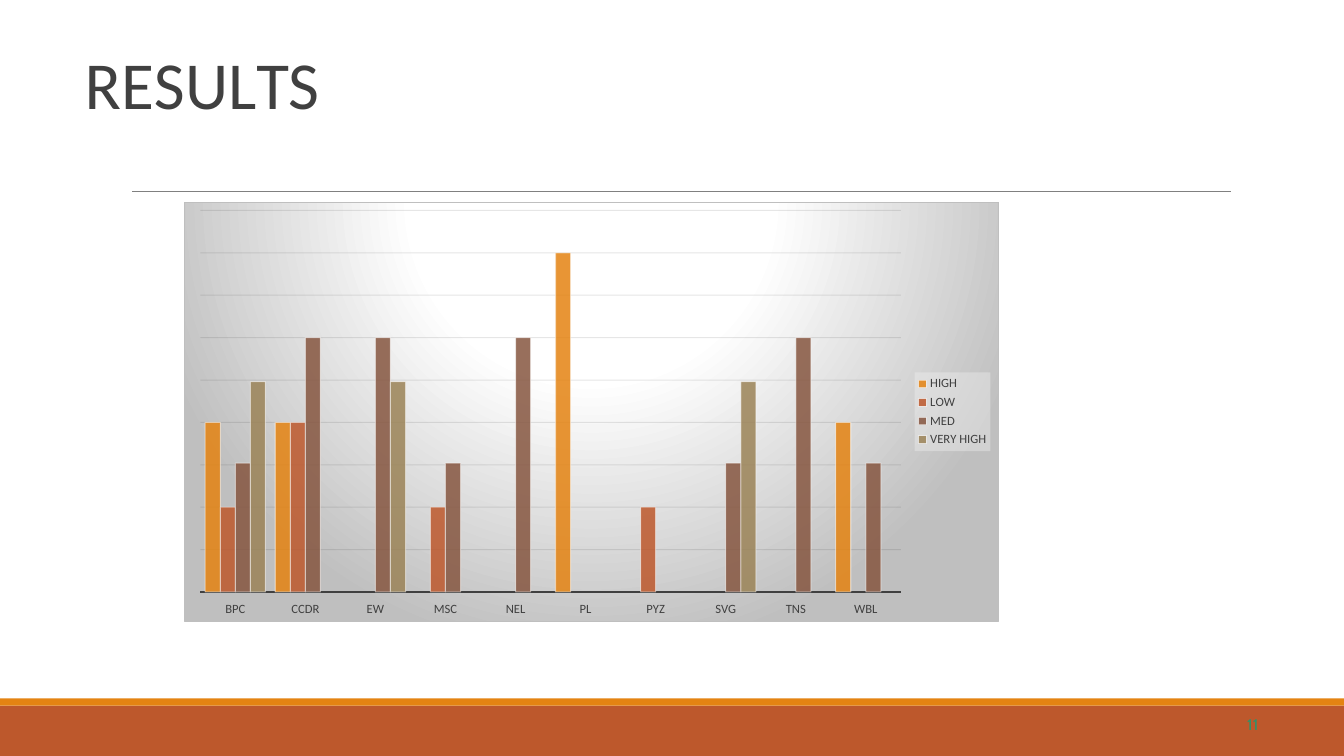
from lxml import etree
from pptx import Presentation
from pptx.chart.data import CategoryChartData
from pptx.dml.color import RGBColor
from pptx.enum.chart import XL_CHART_TYPE, XL_LEGEND_POSITION, XL_TICK_LABEL_POSITION, XL_TICK_MARK
from pptx.enum.shapes import MSO_CONNECTOR, MSO_SHAPE
from pptx.enum.text import MSO_ANCHOR, MSO_AUTO_SIZE, PP_ALIGN
from pptx.oxml import parse_xml
from pptx.oxml.ns import qn
from pptx.util import Inches, Pt

COLUMNS = XL_CHART_TYPE.COLUMN_CLUSTERED
LEGEND_RIGHT = XL_LEGEND_POSITION.RIGHT
LABELS_LOW = XL_TICK_LABEL_POSITION.LOW
NO_TICKS = XL_TICK_MARK.NONE
STRAIGHT = MSO_CONNECTOR.STRAIGHT
RECTANGLE = MSO_SHAPE.RECTANGLE
TOP, BOTTOM = MSO_ANCHOR.TOP, MSO_ANCHOR.BOTTOM
GROW = MSO_AUTO_SIZE.SHAPE_TO_FIT_TEXT
LEFT = PP_ALIGN.LEFT

DARK_GRAY = "404040"
NAMESPACES = ('xmlns:c="http://schemas.openxmlformats.org/drawingml/2006/chart" '
              'xmlns:a="http://schemas.openxmlformats.org/drawingml/2006/main"')

# Each title run with its letter spacing in points
TITLE_RUNS = [("R", -0.5), ("E", -0.4), ("S", 0.1), ("U", -0.3), ("L", -4), ("TS", -0.5)]

CATEGORIES = ["BPC", "CCDR", "EW", "MSC", "NEL", "PL", "PYZ", "SVG", "TNS", "WBL"]
SERIES = [
    ("HIGH", "E48312", [50, 50, None, None, None, 100, None, None, None, 50]),
    ("LOW", "BD582C", [25, 50, None, 25, None, None, 25, None, None, None]),
    ("MED", "865640", [38, 75, 75, 38, 75, None, None, 38, 75, 38]),
    ("VERY HIGH", "9B8357", [62, None, 62, None, None, None, None, 62, None, None]),
]
GRID_STEP = 12.5

CHART_FRAME = f"""<c:spPr {NAMESPACES}>
  <a:gradFill>
    <a:gsLst>
      <a:gs pos="0"><a:srgbClr val="FFFFFF"/></a:gs>
      <a:gs pos="39000"><a:srgbClr val="FFFFFF"/></a:gs>
      <a:gs pos="100000"><a:srgbClr val="BFBFBF"/></a:gs>
    </a:gsLst>
    <a:path path="circle"><a:fillToRect l="50000" t="-80000" r="50000" b="180000"/></a:path>
  </a:gradFill>
  <a:ln w="9525"><a:solidFill><a:srgbClr val="BFBFBF"/></a:solidFill></a:ln>
</c:spPr>"""

LEGEND_FRAME = f"""<c:spPr {NAMESPACES}>
  <a:solidFill><a:srgbClr val="F2F2F2"><a:alpha val="39000"/></a:srgbClr></a:solidFill>
</c:spPr>"""

PLOT_LAYOUT = f"""<c:layout {NAMESPACES}><c:manualLayout>
  <c:layoutTarget val="inner"/><c:xMode val="edge"/><c:yMode val="edge"/>
  <c:x val="0.02"/><c:y val="0.02"/><c:w val="0.86"/><c:h val="0.91"/>
</c:manualLayout></c:layout>"""


def color(hex_string):
    return RGBColor.from_string(hex_string)


def set_opacity(format_element, percent):
    for color_element in format_element.iter(qn("a:srgbClr")):
        alpha = etree.SubElement(color_element, qn("a:alpha"))
        alpha.set("val", str(percent * 1000))


def style_line(line, hex_string, width):
    line.color.rgb = color(hex_string)
    line.width = Pt(width)


def style_font(font, size, hex_string, name="Calibri"):
    font.name = name
    font.size = Pt(size)
    font.color.rgb = color(hex_string)


def add_band(slide, top, height, fill):
    band = slide.shapes.add_shape(RECTANGLE, 0, Inches(top), Inches(13.33), Inches(height))
    band.shadow.inherit = False
    band.fill.solid()
    band.fill.fore_color.rgb = color(fill)
    band.line.fill.background()


def add_rule(slide, left, right, top):
    rule = slide.shapes.add_connector(
        STRAIGHT, Inches(left), Inches(top), Inches(right), Inches(top))
    style_line(rule.line, "808080", 0.5)
    etree.SubElement(rule._element.spPr, qn("a:effectLst"))


def write_text(shape, runs, size, hex_string, font_name, anchor, space_before, indent):
    frame = shape.text_frame
    frame.word_wrap = True
    frame.auto_size = GROW
    frame.vertical_anchor = anchor
    frame.margin_left = frame.margin_right = frame.margin_bottom = 0
    frame.margin_top = Inches(0.01)
    paragraph = frame.paragraphs[0]
    paragraph.alignment = LEFT
    paragraph.space_before = Pt(space_before)
    paragraph._p.get_or_add_pPr().set("marL", str(Inches(indent)))
    for text, spacing in runs:
        run = paragraph.add_run()
        run.text = text
        style_font(run.font, size, hex_string, font_name)
        run.font._element.set("spc", str(round(spacing * 100)))


def place_title(slide):
    title = slide.shapes.title
    title.left, title.top = Inches(0.83), Inches(0.46)
    title.width, title.height = Inches(11.09), Inches(0.76)
    write_text(title, TITLE_RUNS, 48, DARK_GRAY, "Calibri", BOTTOM, 1.1, 0.01)


def add_page_number(slide):
    box = slide.shapes.add_textbox(Inches(12.33), Inches(7.08), Inches(0.25), Inches(0.19))
    write_text(box, [("11", 0.1)], 11, "2D936B", "Cabin", TOP, 0.6, 0.04)


def style_axes(chart):
    category_axis = chart.category_axis
    category_axis.major_tick_mark = NO_TICKS
    category_axis.tick_label_position = LABELS_LOW
    style_font(category_axis.tick_labels.font, 9, DARK_GRAY)
    style_line(category_axis.format.line, DARK_GRAY, 1.5)

    value_axis = chart.value_axis
    value_axis.visible = False
    value_axis.minimum_scale = 0
    value_axis.maximum_scale = 9 * GRID_STEP
    value_axis.major_unit = GRID_STEP
    value_axis.has_major_gridlines = True
    gridlines = value_axis.major_gridlines.format.line
    style_line(gridlines, "0D0D0D", 0.75)
    set_opacity(value_axis._element.find(qn("c:majorGridlines")), 10)


def style_columns(plot):
    plot.gap_width = 65
    plot.overlap = 0
    plot.vary_by_categories = False
    for series, (_, fill, _) in zip(plot.series, SERIES):
        series.format.fill.solid()
        series.format.fill.fore_color.rgb = color(fill)
        set_opacity(series._element.spPr, 85)
        style_line(series.format.line, "FFFFFF", 0.75)
        set_opacity(series._element.spPr.find(qn("a:ln")), 50)


def style_legend(chart):
    chart.has_legend = True
    legend = chart.legend
    legend.position = LEGEND_RIGHT
    legend.include_in_layout = False
    style_font(legend.font, 9, DARK_GRAY)
    legend._element.find(qn("c:txPr")).addprevious(parse_xml(LEGEND_FRAME))


def add_results_chart(slide):
    data = CategoryChartData()
    data.categories = CATEGORIES
    for name, _, values in SERIES:
        data.add_series(name, values)
    chart = slide.shapes.add_chart(
        COLUMNS, Inches(1.82), Inches(2), Inches(8.09), Inches(4.17), data).chart
    chart.has_title = False
    style_font(chart.font, 10, "000000")
    style_axes(chart)
    style_columns(chart.plots[0])
    style_legend(chart)

    # Background and plot position
    chart_element = chart._chartSpace.find(qn("c:chart"))
    chart_element.addnext(parse_xml(CHART_FRAME))
    plot_area = chart_element.find(qn("c:plotArea"))
    for layout in plot_area.findall(qn("c:layout")):
        plot_area.remove(layout)
    plot_area.insert(0, parse_xml(PLOT_LAYOUT))


def main():
    presentation = Presentation()
    presentation.slide_width = Inches(13.33)
    presentation.slide_height = Inches(7.5)
    slide = presentation.slides.add_slide(presentation.slide_layouts[5])

    # Footer bands and title rule
    add_band(slide, 7, 0.5, "BD582C")
    add_band(slide, 6.93, 0.07, "E48312")
    add_rule(slide, 1.31, 12.21, 1.9)

    # Content
    place_title(slide)
    add_page_number(slide)
    add_results_chart(slide)

    presentation.save("out.pptx")


if __name__ == "__main__":
    main()
